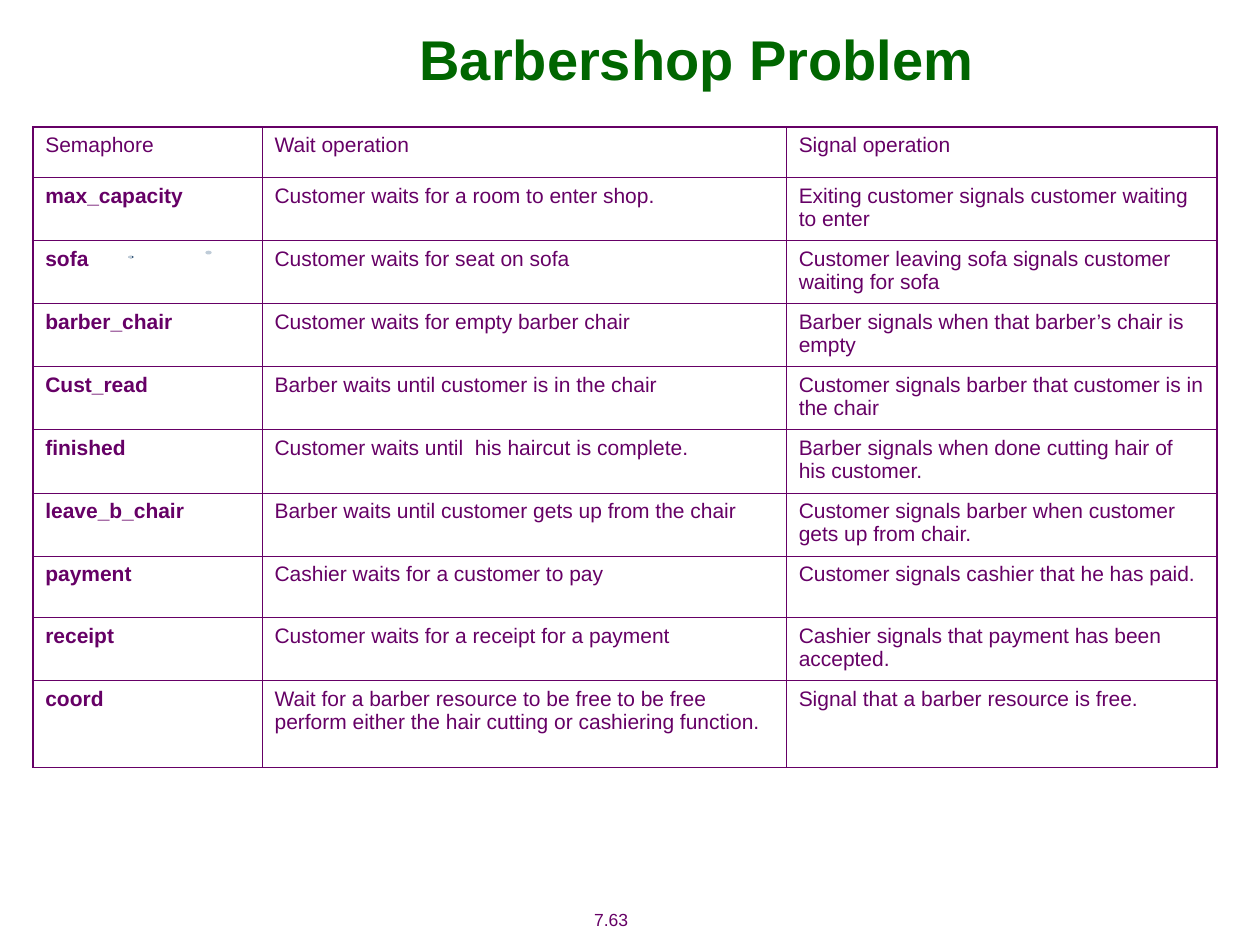
from dataclasses import dataclass

from lxml.etree import SubElement
from pptx import Presentation
from pptx.dml.color import RGBColor as Color
from pptx.enum.shapes import MSO_SHAPE as Shape
from pptx.enum.text import MSO_ANCHOR as Anchor, PP_ALIGN as Align
from pptx.oxml.ns import qn
from pptx.util import Inches, Pt


@dataclass(frozen=True)
class Theme:
    font: str = "Arial"
    title_color: str = "006600"
    text_color: str = "660066"
    dark_speck: str = "284C70"
    light_speck: str = "BFCCD8"
    title_size: float = 32
    table_size: float = 12
    number_size: float = 10
    outer_line: float = 1.08
    inner_line: float = 0.45


THEME = Theme()
COLUMN_WIDTHS = [1.82, 4.16, 3.42]
ROW_HEIGHTS = [0.4] + [0.49] * 8 + [0.69]
ROWS = [
    ("Semaphore", "Wait operation", "Signal operation"),
    ("max_capacity", "Customer waits for a room to enter shop.",
     "Exiting customer signals customer waiting to enter"),
    ("sofa", "Customer waits for seat on sofa",
     "Customer leaving sofa signals customer waiting for sofa"),
    ("barber_chair", "Customer waits for empty barber chair",
     "Barber signals when that barber’s chair is empty"),
    ("Cust_read", "Barber waits until customer is in the chair",
     "Customer signals barber that customer is in the chair"),
    ("finished", "Customer waits until  his haircut is complete.",
     "Barber signals when done cutting hair of his customer."),
    ("leave_b_chair", "Barber waits until customer gets up from the chair",
     "Customer signals barber when customer gets up from chair."),
    ("payment", "Cashier waits for a customer to pay",
     "Customer signals cashier that he has paid."),
    ("receipt", "Customer waits for a receipt for a payment",
     "Cashier signals that payment has been accepted."),
    ("coord", "Wait for a barber resource to be free to be free perform "
     "either the hair cutting or cashiering function.",
     "Signal that a barber resource is free."),
]
SPECKS = [
    ((1.02, 2.03, 0.04, 0.02), THEME.dark_speck),
    ((1.02, 2.03, 0.03, 0.02), THEME.light_speck),
    ((1.63, 1.99, 0.05, 0.03), THEME.light_speck),
]


def inches(box):
    return [Inches(length) for length in box]


def write(frame, text, size, color, bold=False, align=Align.LEFT):
    frame.text = text
    para = frame.paragraphs[0]
    para.alignment = align
    font = para.runs[0].font
    font.name, font.size, font.bold = THEME.font, Pt(size), bold
    font.color.rgb = Color.from_string(color)


def place_title(page, box):
    title = page.shapes.title
    title.left, title.top, title.width, title.height = inches(box)
    title.text_frame.vertical_anchor = Anchor.MIDDLE
    write(title.text_frame, "Barbershop Problem", THEME.title_size,
          THEME.title_color, True, Align.CENTER)


def place_number(page, box):
    frame = page.shapes.add_textbox(*inches(box)).text_frame
    frame.word_wrap = False
    frame.vertical_anchor = Anchor.MIDDLE
    write(frame, "7.63", THEME.number_size, THEME.text_color, align=Align.CENTER)


def place_speck(page, box, color):
    speck = page.shapes.add_shape(Shape.OVAL, *inches(box))
    speck.shadow.inherit = False
    speck.fill.solid()
    speck.fill.fore_color.rgb = Color.from_string(color)
    speck.line.fill.background()


def draw_borders(cell, outer_sides):
    properties = cell._tc.get_or_add_tcPr()
    for side in "LRTB":
        width = THEME.outer_line if side in outer_sides else THEME.inner_line
        line = SubElement(properties, qn(f"a:ln{side}"), w=str(Pt(width)))
        fill = SubElement(line, qn("a:solidFill"))
        SubElement(fill, qn("a:srgbClr"), val=THEME.text_color)


def place_table(page, box):
    last_row, last_column = len(ROWS) - 1, len(COLUMN_WIDTHS) - 1
    table = page.shapes.add_table(
        len(ROWS), len(COLUMN_WIDTHS), *inches(box)).table
    table.first_row = table.horz_banding = False
    for column, width in zip(table.columns, COLUMN_WIDTHS):
        column.width = Inches(width)
    for row, height in zip(table.rows, ROW_HEIGHTS):
        row.height = Inches(height)
    for r, texts in enumerate(ROWS):
        for c, text in enumerate(texts):
            cell = table.cell(r, c)
            write(cell.text_frame, text, THEME.table_size, THEME.text_color,
                  bold=r > 0 and c == 0)
            edges = {"L": c == 0, "R": c == last_column,
                     "T": r == 0, "B": r == last_row}
            draw_borders(cell, [side for side, outer in edges.items() if outer])
            cell.fill.background()


def main():
    deck = Presentation()
    deck.slide_width, deck.slide_height = Inches(10), Inches(7.5)
    page = deck.slides.add_slide(deck.slide_layouts[5])
    place_number(page, (4.38, 7.16, 0.94, 0.27))
    for box, color in SPECKS:
        place_speck(page, box, color)
    place_title(page, (1.28, 0, 8.5, 0.92))
    place_table(page, (0.26, 1.01, sum(COLUMN_WIDTHS), sum(ROW_HEIGHTS)))
    deck.save("out.pptx")


if __name__ == "__main__":
    main()
